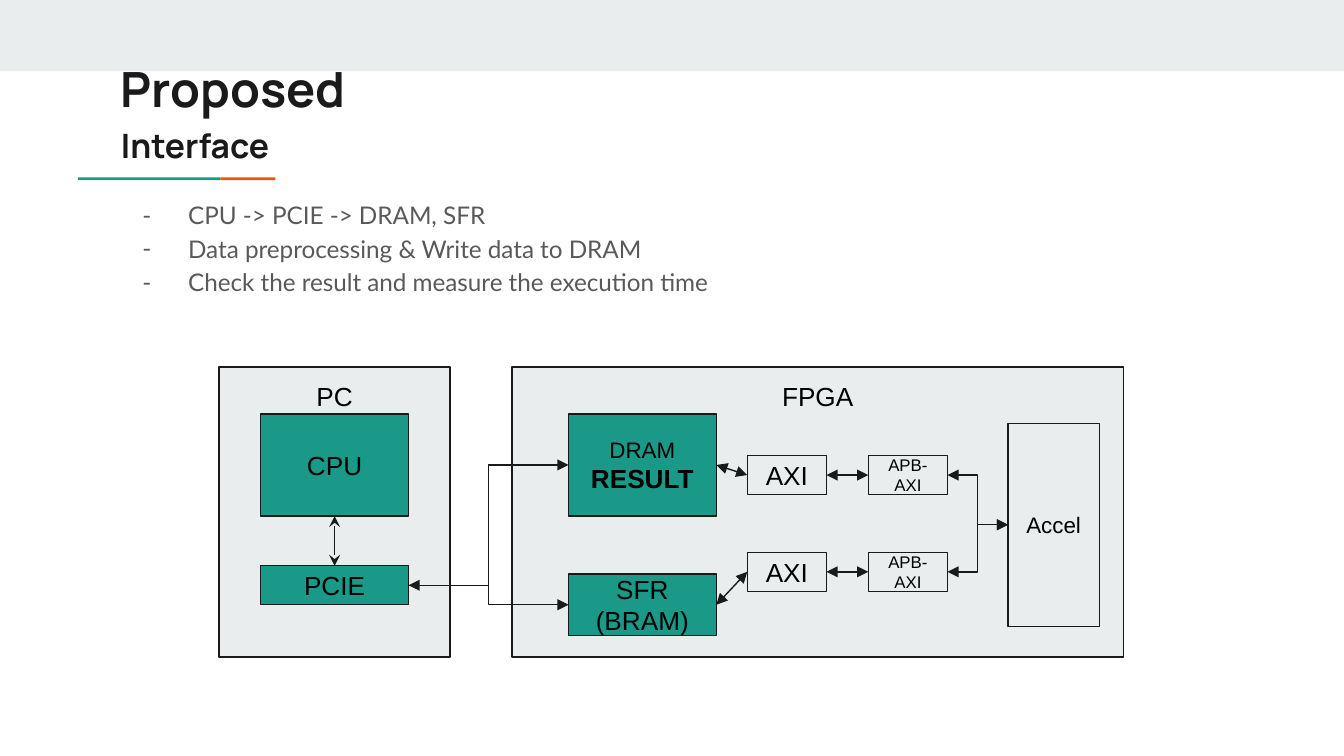
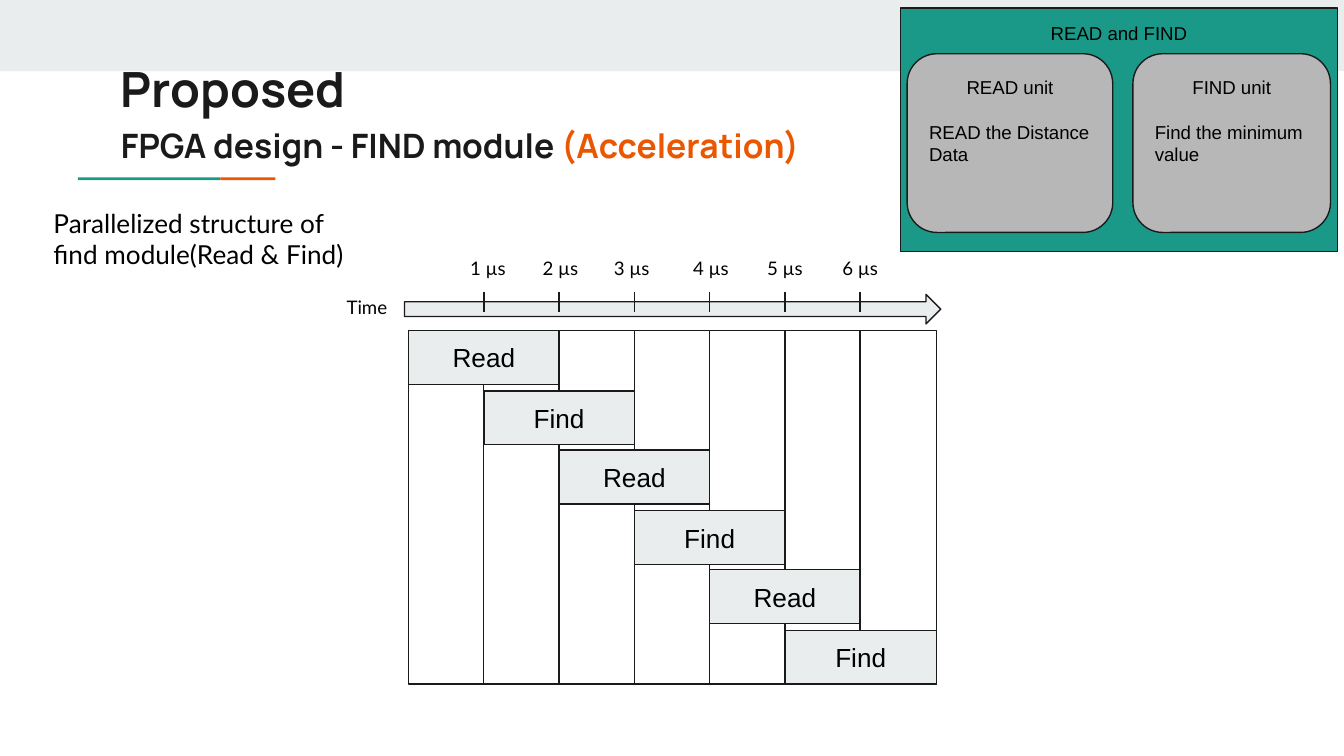
from lxml.etree import SubElement
from pptx import Presentation
from pptx.dml.color import RGBColor
from pptx.enum.shapes import MSO_CONNECTOR as Link, MSO_SHAPE as Shape
from pptx.enum.text import MSO_ANCHOR as Anchor, MSO_AUTO_SIZE as AutoSize, PP_ALIGN as Align
from pptx.oxml.ns import qn
from pptx.util import Pt

PX = 9144  # one hundredth of an inch
INSET = 10
TOP, LEFT, BOTTOM, RIGHT = range(4)  # connection sites

INK = RGBColor(0x1A, 0x1A, 0x1A)
BLACK = RGBColor(0, 0, 0)
WHITE = RGBColor(0xFF, 0xFF, 0xFF)
GRAY = RGBColor(0x59, 0x59, 0x59)
SILVER = RGBColor(0xB7, 0xB7, 0xB7)
PALE = RGBColor(0xE9, 0xED, 0xEE)
TEAL = RGBColor(0x1A, 0x99, 0x88)
ORANGE = RGBColor(0xEB, 0x56, 0x00)

HEADING, BODY, LABEL = "Manrope", "Lato", "Arial"


def emu(*lengths):
    return [length * PX for length in lengths]


def style(para, font, size, color=BLACK, align=Align.LEFT, bold=None):
    para.alignment = align
    para.font.name = font
    para.font.size = Pt(size)
    para.font.color.rgb = color
    para.font.bold = bold


def prepare(frame, anchor=Anchor.TOP):
    """Give a text frame the inset, wrapping and anchor of this deck."""
    frame.word_wrap = True
    frame.auto_size = AutoSize.NONE
    frame.vertical_anchor = anchor
    frame.margin_left = frame.margin_right = INSET * PX
    frame.margin_top = frame.margin_bottom = INSET * PX


def place(placeholder, left, top, width, height):
    placeholder.left, placeholder.top, placeholder.width, placeholder.height = emu(
        left, top, width, height)
    prepare(placeholder.text_frame)
    return placeholder.text_frame


def add_box(page, left, top, width, height, fill, lines=(), size=14,
            anchor=Anchor.MIDDLE, kind=Shape.RECTANGLE, outlined=True):
    box = page.shapes.add_shape(kind, *emu(left, top, width, height))
    box.shadow.inherit = False
    box.fill.solid()
    box.fill.fore_color.rgb = fill
    if outlined:
        box.line.color.rgb = INK
        box.line.width = Pt(0.75)
    else:
        box.line.fill.background()
    if lines:
        frame = box.text_frame
        prepare(frame, anchor)
        frame.text = "\n".join(lines)
        for para in frame.paragraphs:
            style(para, LABEL, size, align=Align.CENTER)
    return box


def add_label(page, left, top, width, height, text, size, align=Align.CENTER):
    frame = page.shapes.add_textbox(*emu(left, top, width, height)).text_frame
    prepare(frame)
    frame.text = text
    style(frame.paragraphs[0], BODY, size, align=align)


def add_line(page, kind=Link.STRAIGHT, ends=(0, 0, 0, 0), head=None, tail=None):
    line = page.shapes.add_connector(kind, *emu(*ends))
    line.line.color.rgb = INK
    line.line.width = Pt(0.75)
    properties = line.element.spPr
    stroke = properties.find(qn("a:ln"))
    for tag, arrow in (("a:headEnd", head), ("a:tailEnd", tail)):
        if arrow:
            SubElement(stroke, qn(tag), type=arrow)
    SubElement(properties, qn("a:effectLst"))
    return line


def join(page, start, start_side, end, end_side, kind=Link.STRAIGHT,
         head="triangle", tail="triangle"):
    line = add_line(page, kind, head=head, tail=tail)
    line.begin_connect(start, start_side)
    line.end_connect(end, end_side)


def add_page(deck, layout, subtitle, accent=""):
    """Add a page with the top band, the title, the subtitle and its underline."""
    page = deck.slides.add_slide(deck.slide_layouts.get_by_name(layout))
    add_box(page, 0, 0, 1000, 53, PALE, outlined=False)
    for left, width, color in ((58, 106, TEAL), (164, 41, ORANGE)):
        add_box(page, left, 132, width, 2, color, outlined=False)
    # The band and underline lie behind the placeholders.
    tree = page.shapes.title.element.getparent()
    for placeholder in page.placeholders:
        tree.append(placeholder.element)

    title = place(page.shapes.title, 80, 34, 841, 62)
    title.text = "Proposed"
    style(title.paragraphs[0], HEADING, 26, INK, bold=True)

    para = place(page.placeholders[1], 80, 83, 841, 70).paragraphs[0]
    properties = para._p.get_or_add_pPr()
    properties.set("marL", "0")
    properties.set("indent", "0")
    SubElement(properties, qn("a:buNone"))
    para.space_before = Pt(0)
    style(para, HEADING, 18, INK, bold=True)
    para.add_run().text = subtitle
    if accent:
        span = para.add_run()
        span.text = accent
        span.font.color.rgb = ORANGE
    return page


def fill_list(placeholder, items):
    frame = place(placeholder, 80, 136, 841, 247)
    frame.text = "\n".join(items)
    for para in frame.paragraphs:
        properties = para._p.get_or_add_pPr()
        properties.set("marL", str(50 * PX))
        properties.set("indent", str(-34 * PX))
        color = SubElement(properties, qn("a:buClr"))
        SubElement(color, qn("a:srgbClr"), val=str(GRAY))
        SubElement(properties, qn("a:buFont"), typeface=BODY)
        SubElement(properties, qn("a:buChar"), char="-")
        para.line_spacing = 1.15
        para.space_before = Pt(0)
        style(para, BODY, 13, GRAY)


def draw_pc(page, left, top):
    add_box(page, left, top, 172, 216, PALE, ["PC"], anchor=Anchor.TOP)
    cpu = add_box(page, left + 31, top + 35, 110, 76, TEAL, ["CPU"])
    pcie = add_box(page, left + 31, top + 148, 110, 29, TEAL, ["PCIE"])
    join(page, cpu, BOTTOM, pcie, TOP, head="stealth", tail="stealth")
    return pcie


def draw_fpga(page, left, top):
    add_box(page, left, top, 455, 216, PALE, ["FPGA"], anchor=Anchor.TOP)
    dram = add_box(page, left + 42, top + 35, 110, 76, TEAL, ["DRAM", "RESULT"])
    name, result = dram.text_frame.paragraphs
    name.font.size = Pt(12)
    result.font.bold = True
    sfr = add_box(page, left + 42, top + 154, 110, 46, TEAL, ["SFR", "(BRAM)"])
    accel = add_box(page, left + 369, top + 42, 68, 151, PALE, ["Accel"], 12)
    for memory, offset in ((dram, 66), (sfr, 138)):
        axi = add_box(page, left + 175, top + offset, 59, 29, PALE, ["AXI"])
        bridge = add_box(page, left + 265, top + offset, 59, 29, PALE, ["APB-AXI"], 9)
        join(page, memory, RIGHT, axi, LEFT)
        join(page, axi, RIGHT, bridge, LEFT)
        join(page, bridge, RIGHT, accel, LEFT, Link.ELBOW)
    return dram, sfr


def draw_timeline(page, left, top):
    """Draw the pipeline grid at left, top, with the time axis above it."""
    width, height, columns, task_height = 393, 263, 7, 40
    edges = [left + i * width // columns for i in range(columns + 1)]
    add_box(page, left, top, width, height, WHITE)
    for i in range(1, columns, 2):
        add_box(page, edges[i], top, edges[i + 1] - edges[i], height, WHITE)

    tasks = ["Read", "Find"] * 3
    step = (height - task_height) / (len(tasks) - 1)
    for i, task in enumerate(tasks):
        add_box(page, edges[i], top + round(i * step), edges[i + 2] - edges[i],
                task_height, PALE, [task])

    add_box(page, left - 3, top - 27, 399, 22, PALE, kind=Shape.RIGHT_ARROW)
    add_label(page, left - 73, top - 36, 84, 40, "Time", 10)
    label_offsets = (35, 89, 142, 201, 256, 312)
    for i, offset in enumerate(label_offsets, 1):
        add_line(page, ends=(edges[i], top - 29, edges[i], top - 14))
        add_label(page, left + offset, top - 65, 48, 33, f"{i} µs", 10)


def draw_units(page, left, top):
    add_box(page, left, top, 325, 181, TEAL, ["READ and FIND"], 10, Anchor.TOP)
    units = ((5, 153, "READ unit", "READ the Distance Data"),
             (173, 147, "FIND unit", "Find the minimum value"))
    for offset, width, name, duty in units:
        unit = add_box(page, left + offset, top + 34, width, 133, SILVER, [name, duty],
                       10, Anchor.TOP, Shape.ROUNDED_RECTANGLE)
        detail = unit.text_frame.paragraphs[1]
        detail.alignment = Align.LEFT
        detail.space_before = Pt(12)


def build_interface(deck):
    page = add_page(deck, "Two Content", "Interface")
    fill_list(page.placeholders[2], [
        "CPU -> PCIE -> DRAM, SFR",
        "Data preprocessing & Write data to DRAM",
        "Check the result and measure the execution time",
    ])
    pcie = draw_pc(page, 163, 273)
    dram, sfr = draw_fpga(page, 381, 273)
    join(page, pcie, RIGHT, dram, LEFT, Link.ELBOW, head=None)
    join(page, pcie, RIGHT, sfr, LEFT, Link.ELBOW)


def build_find_module(deck):
    page = add_page(deck, "Title and Content", "FPGA design - FIND module ",
                    "(Acceleration)")
    draw_timeline(page, 304, 246)
    add_label(page, 30, 144, 250, 97,
              "Parallelized structure of find module(Read & Find)", 14, Align.LEFT)
    draw_units(page, 670, 6)


def main():
    deck = Presentation()
    deck.slide_width = 1000 * PX
    deck.slide_height = deck.slide_width * 9 // 16
    build_interface(deck)
    build_find_module(deck)
    deck.save("out.pptx")


if __name__ == "__main__":
    main()
